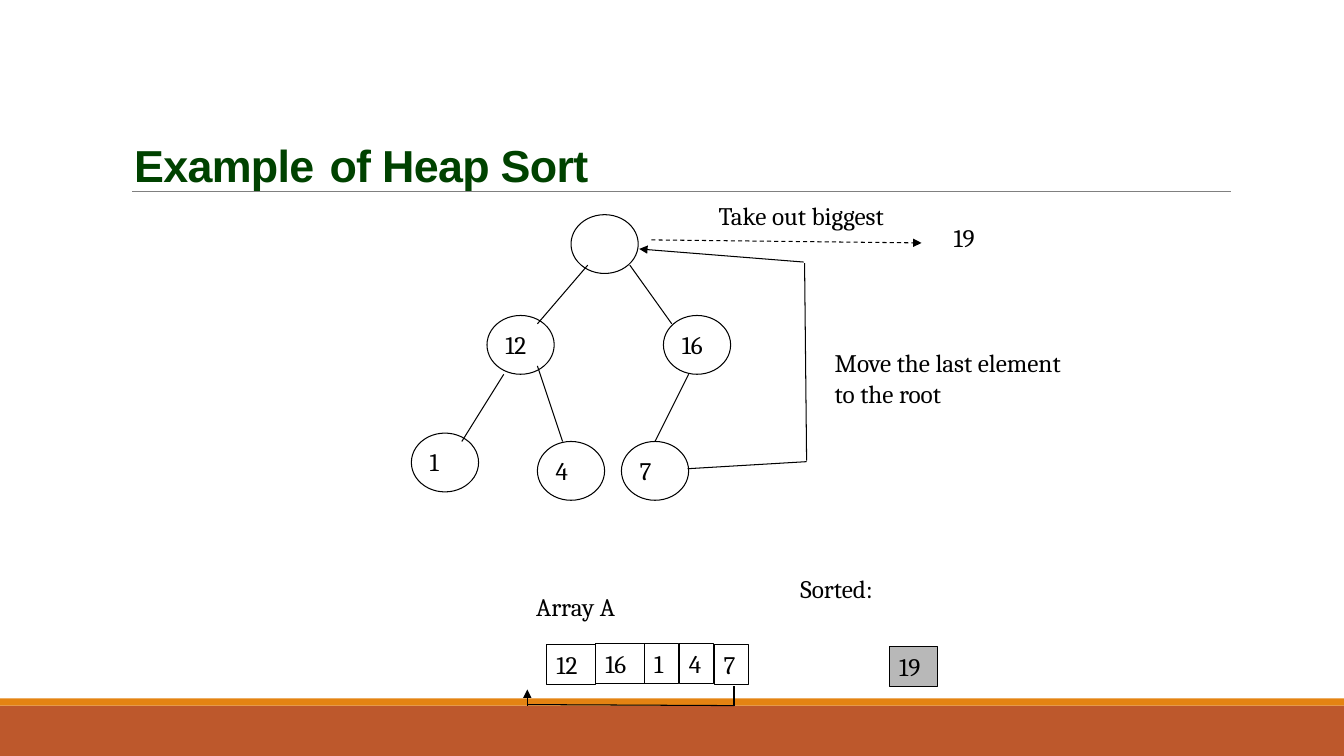
from pptx import Presentation
from pptx.dml.color import RGBColor
from pptx.enum.dml import MSO_LINE
from pptx.enum.shapes import MSO_CONNECTOR, MSO_SHAPE
from pptx.enum.text import MSO_ANCHOR, MSO_AUTO_SIZE, PP_ALIGN
from pptx.oxml.ns import qn
from pptx.util import Inches, Pt
from lxml.etree import SubElement

WIDTH, HEIGHT = 13.33, 7.5
UNIT = 1 / 12  # grid step of the tree, in inches
INK = "000000"
LINE_HEIGHT = 0.4

# column, row and value of each heap node, then the edges, in grid steps
NODES = [(19, 0, ""), (9, 12, "12"), (30, 12, "16"),
         (15, 27, "4"), (0, 26, "1"), (25, 27, "7")]
EDGES = [(21, 6, 15, 13), (11, 19, 6, 27), (15, 18, 18, 27),
         (26, 6, 31, 13), (33, 19, 29, 27)]


def color(hex_string):
    return RGBColor.from_string(hex_string)


def add_box(slide, kind, left, top, width, height, fill=None, border=None):
    """Add a preset shape; border is its line width in points."""
    box = slide.shapes.add_shape(kind, Inches(left), Inches(top),
                                 Inches(width), Inches(height))
    box.shadow.inherit = False
    if fill:
        box.fill.solid()
        box.fill.fore_color.rgb = color(fill)
    else:
        box.fill.background()
    if border:
        box.line.color.rgb = color(INK)
        box.line.width = Pt(border)
    else:
        box.line.fill.background()
    return box


def write(frame, *lines):
    frame.word_wrap = False
    frame.auto_size = MSO_AUTO_SIZE.SHAPE_TO_FIT_TEXT
    frame.vertical_anchor = MSO_ANCHOR.TOP
    for number, line in enumerate(lines):
        paragraph = frame.add_paragraph() if number else frame.paragraphs[0]
        paragraph.text = line
        paragraph.alignment = PP_ALIGN.LEFT
        paragraph.font.name = "Cambria"
        paragraph.font.size = Pt(18)
        paragraph.font.color.rgb = color(INK)


def add_label(slide, left, top, width, *lines):
    height = LINE_HEIGHT + 0.31 * (len(lines) - 1)
    label = slide.shapes.add_textbox(Inches(left), Inches(top),
                                     Inches(width), Inches(height))
    write(label.text_frame, *lines)


def add_line(slide, x1, y1, x2, y2, arrow=False, dashed=False,
             stroke=INK, weight=0.75):
    line = slide.shapes.add_connector(MSO_CONNECTOR.STRAIGHT, Inches(x1),
                                      Inches(y1), Inches(x2), Inches(y2))
    line.line.color.rgb = color(stroke)
    line.line.width = Pt(weight)
    if dashed:
        line.line.dash_style = MSO_LINE.DASH
    if arrow:
        SubElement(line.line._get_or_add_ln(), qn("a:tailEnd"), type="triangle")
    SubElement(line._element.spPr, qn("a:effectLst"))


def number_width(value):
    return 0.2 + 0.14 * len(value)


def add_frame(slide):
    """Draw the footer bands and the rule under the title."""
    add_box(slide, MSO_SHAPE.RECTANGLE, 0, 7, WIDTH, 0.5, "BD582C")
    add_box(slide, MSO_SHAPE.RECTANGLE, 0, 6.93, WIDTH, 0.07, "E48312")
    add_line(slide, 1.31, 1.9, 12.21, 1.9, stroke="808080", weight=0.5)


def add_title(slide, left, top, width, height):
    title = slide.shapes.title
    title.left, title.top = Inches(left), Inches(top)
    title.width, title.height = Inches(width), Inches(height)
    frame = title.text_frame
    frame.word_wrap = True
    frame.auto_size = MSO_AUTO_SIZE.NONE
    frame.vertical_anchor = MSO_ANCHOR.BOTTOM
    paragraph = frame.paragraphs[0]
    paragraph.alignment = PP_ALIGN.LEFT
    paragraph.line_spacing = 0.85
    for text, font_name, size, ink, bold in [
            ("Example", "Arial", 32, "004200", True),
            (" ", "Calibri", 48, "404040", False),
            ("of Heap Sort", "Arial", 32, "004200", True)]:
        run = paragraph.add_run()
        run.text = text
        run.font.name = font_name
        run.font.size = Pt(size)
        run.font.bold = bold
        run.font.color.rgb = color(ink)
        run.font._element.set("spc", "-50")


def add_heap(slide, left, top):
    for column, row, value in NODES:
        x, y = left + column * UNIT, top + row * UNIT
        add_box(slide, MSO_SHAPE.OVAL, x, y, 8 * UNIT, 7 * UNIT, border=0.75)
        if value:
            add_label(slide, x + UNIT, y + UNIT, number_width(value), value)
    for x1, y1, x2, y2 in EDGES:
        add_line(slide, left + x1 * UNIT, top + y1 * UNIT,
                 left + x2 * UNIT, top + y2 * UNIT)


def add_moves(slide, left, top):
    """Show the root leaving the heap and the last element replacing it."""
    add_label(slide, left + 0.69, top - 0.19, 2.14, "Take out biggest")
    add_line(slide, left + 0.12, top + 0.25, left + 2.8, top + 0.28,
             arrow=True, dashed=True)
    add_label(slide, left + 3.02, top + 0.03, number_width("19"), "19")
    add_line(slide, left + 0.48, top + 2.52, left + 1.66, top + 2.45)
    add_line(slide, left + 1.64, top + 0.48, left + 1.66, top + 2.44)
    add_line(slide, left + 1.63, top + 0.47, left, top + 0.34, arrow=True)
    add_label(slide, left + 1.84, top + 1.27, 2.79,
              "Move the last element", "to the root")


def add_cell(slide, left, top, value, fill=None):
    cell = add_box(slide, MSO_SHAPE.RECTANGLE, left, top,
                   number_width(value), LINE_HEIGHT, fill, border=0.25)
    write(cell.text_frame, value)


def add_array(slide, left, top):
    add_label(slide, left - 0.2, top - 0.57, 1.14, "Array A")
    x = left
    for value, lift in [("12", 0), ("16", 0.01), ("1", 0.01),
                        ("4", 0.01), ("7", 0)]:
        add_cell(slide, x, top - lift, value)
        x += number_width(value) + 0.005
    start, end, bottom = left + 1.86, left - 0.19, top + 0.61
    add_line(slide, start, top + 0.42, start, bottom)
    add_line(slide, start, bottom, end, bottom - 0.01)
    add_line(slide, end, bottom, end, top + 0.45, arrow=True)


def add_sorted(slide, left, top):
    add_label(slide, left, top, 1.04, "Sorted:")
    add_cell(slide, left + 0.98, top + 0.77, "19", "B8B8B8")


def main():
    deck = Presentation()
    deck.slide_width, deck.slide_height = Inches(WIDTH), Inches(HEIGHT)
    slide = deck.slides.add_slide(deck.slide_layouts[5])
    add_frame(slide)
    add_title(slide, 1.23, 0.41, 11, 1.59)
    add_heap(slide, 4.08, 2.13)
    add_moves(slide, 6.34, 2.13)
    add_array(slide, 5.42, 6.39)
    add_sorted(slide, 7.84, 5.64)
    deck.save("out.pptx")


if __name__ == "__main__":
    main()
